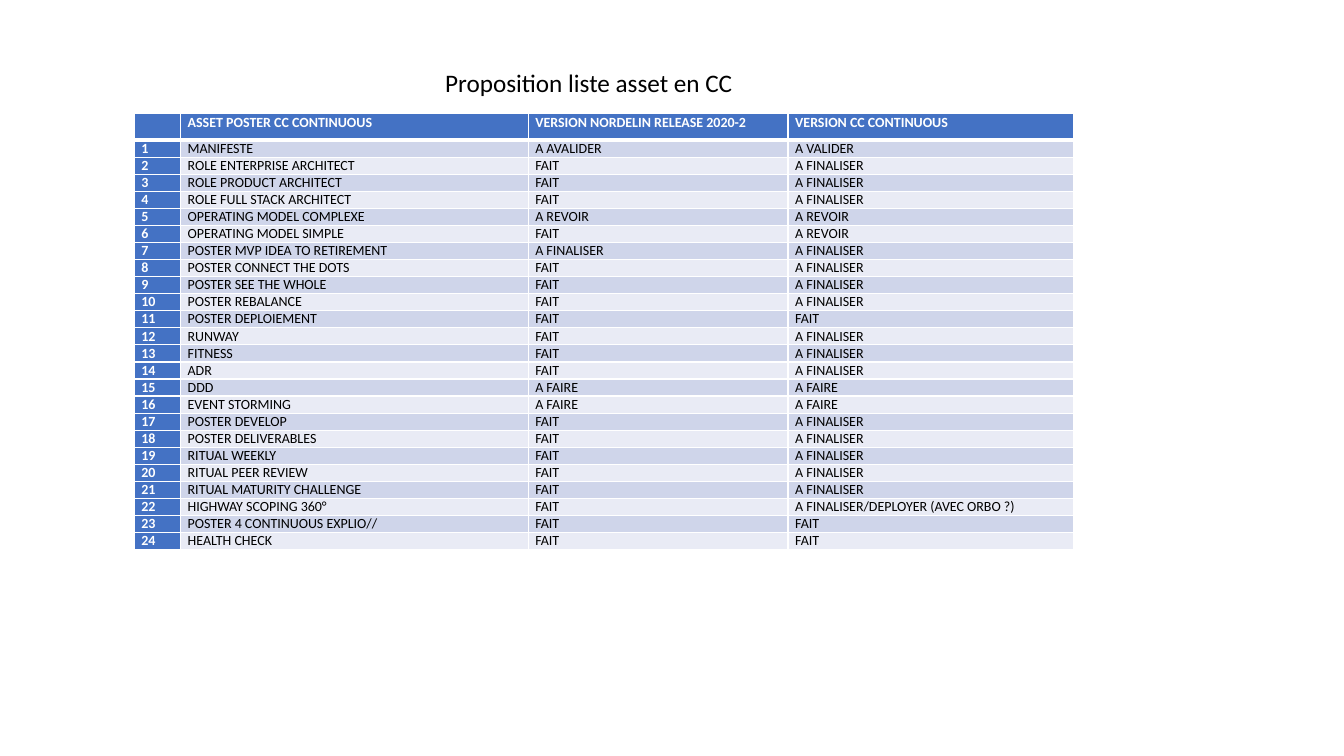
from lxml.etree import SubElement
from pptx import Presentation
from pptx.dml.color import RGBColor
from pptx.oxml.ns import qn
from pptx.util import Cm, Pt

COLORS = {
    "accent": "4472C4",
    "odd": "CFD5EA",
    "even": "E9EBF5",
    "white": "FFFFFF",
    "black": "000000",
}
FONT = "Calibri"
COLUMN_WIDTHS = (1.17, 8.76, 6.55, 7.19)
HEADER_HEIGHT = 0.66
ROW_HEIGHT = 0.43
HEADERS = (
    "",
    "ASSET POSTER CC CONTINUOUS",
    "VERSION NORDELIN RELEASE 2020-2",
    "VERSION CC CONTINUOUS",
)
DONE = "FAIT"
FINISH = "A FINALISER"
REVIEW = "A REVOIR"
TODO = "A FAIRE"
ASSETS = (
    ("MANIFESTE", "A AVALIDER", "A VALIDER"),
    ("ROLE ENTERPRISE ARCHITECT", DONE, FINISH),
    ("ROLE PRODUCT ARCHITECT", DONE, FINISH),
    ("ROLE FULL STACK ARCHITECT", DONE, FINISH),
    ("OPERATING MODEL COMPLEXE", REVIEW, REVIEW),
    ("OPERATING MODEL SIMPLE", DONE, REVIEW),
    ("POSTER MVP IDEA TO RETIREMENT", FINISH, FINISH),
    ("POSTER CONNECT THE DOTS", DONE, FINISH),
    ("POSTER SEE THE WHOLE", DONE, FINISH),
    ("POSTER REBALANCE", DONE, FINISH),
    ("POSTER DEPLOIEMENT", DONE, DONE),
    ("RUNWAY", DONE, FINISH),
    ("FITNESS", DONE, FINISH),
    ("ADR", DONE, FINISH),
    ("DDD", TODO, TODO),
    ("EVENT STORMING", TODO, TODO),
    ("POSTER DEVELOP", DONE, FINISH),
    ("POSTER DELIVERABLES", DONE, FINISH),
    ("RITUAL WEEKLY", DONE, FINISH),
    ("RITUAL PEER REVIEW", DONE, FINISH),
    ("RITUAL MATURITY CHALLENGE", DONE, FINISH),
    ("HIGHWAY SCOPING 360°", DONE, "A FINALISER/DEPLOYER (AVEC ORBO ?)"),
    ("POSTER 4 CONTINUOUS EXPLIO//", DONE, DONE),
    ("HEALTH CHECK", DONE, DONE),
)


def add_span(para, text, size, color, bold=False):
    """Add one formatted run to a paragraph."""
    span = para.add_run()
    span.text = text
    span.font.name = FONT
    span.font.size = Pt(size)
    span.font.bold = bold
    span.font.color.rgb = RGBColor.from_string(COLORS[color])


def add_title(page, text):
    """Add the unwrapped title above the table."""
    box = page.shapes.add_textbox(Cm(10.97), Cm(1.57), Cm(7.85), Cm(1.02))
    box.text_frame.word_wrap = False
    add_span(box.text_frame.paragraphs[0], text, 18, "black")


def set_borders(cell, top, bottom):
    """Draw white borders, with the top and bottom widths in points."""
    properties = cell._tc.get_or_add_tcPr()
    for side, width in (("L", 1), ("R", 1), ("T", top), ("B", bottom)):
        line = SubElement(properties, qn(f"a:ln{side}"), w=str(Pt(width)))
        fill = SubElement(line, qn("a:solidFill"))
        SubElement(fill, qn("a:srgbClr"), val=COLORS["white"])


def fill_cell(cell, text, fill, emphasis):
    """Set the margins, fill and text of a cell."""
    cell.margin_left = cell.margin_right = Cm(0.18)
    cell.margin_top = cell.margin_bottom = Cm(0)
    cell.fill.solid()
    cell.fill.fore_color.rgb = RGBColor.from_string(COLORS[fill])
    para = cell.text_frame.paragraphs[0]
    if text:
        add_span(para, text, 10, "white" if emphasis else "black", emphasis)
    else:
        SubElement(para._p, qn("a:endParaRPr"), sz="1000")


def add_asset_table(page):
    """Add the numbered table of assets and their status."""
    rows = [HEADERS]
    rows += [(str(number), *asset) for number, asset in enumerate(ASSETS, 1)]
    height = HEADER_HEIGHT + ROW_HEIGHT * len(ASSETS)
    table = page.shapes.add_table(
        len(rows), len(HEADERS), Cm(3.38), Cm(2.87),
        Cm(sum(COLUMN_WIDTHS)), Cm(height),
    ).table
    table.first_col = True
    for column, width in zip(table.columns, COLUMN_WIDTHS):
        column.width = Cm(width)
    for row_index, texts in enumerate(rows):
        table.rows[row_index].height = Cm(ROW_HEIGHT if row_index else HEADER_HEIGHT)
        band = "odd" if row_index % 2 else "even"
        for column_index, text in enumerate(texts):
            cell = table.cell(row_index, column_index)
            emphasis = row_index == 0 or column_index == 0
            set_borders(cell, 3 if row_index == 1 else 1, 1 if row_index else 3)
            fill_cell(cell, text, "accent" if emphasis else band, emphasis)


def main():
    """Build the slide and save the deck."""
    deck = Presentation()
    deck.slide_width = Cm(33.87)
    deck.slide_height = Cm(19.05)
    page = deck.slides.add_slide(deck.slide_layouts[6])
    add_asset_table(page)
    add_title(page, "Proposition liste asset en CC")
    deck.save("out.pptx")


main()
